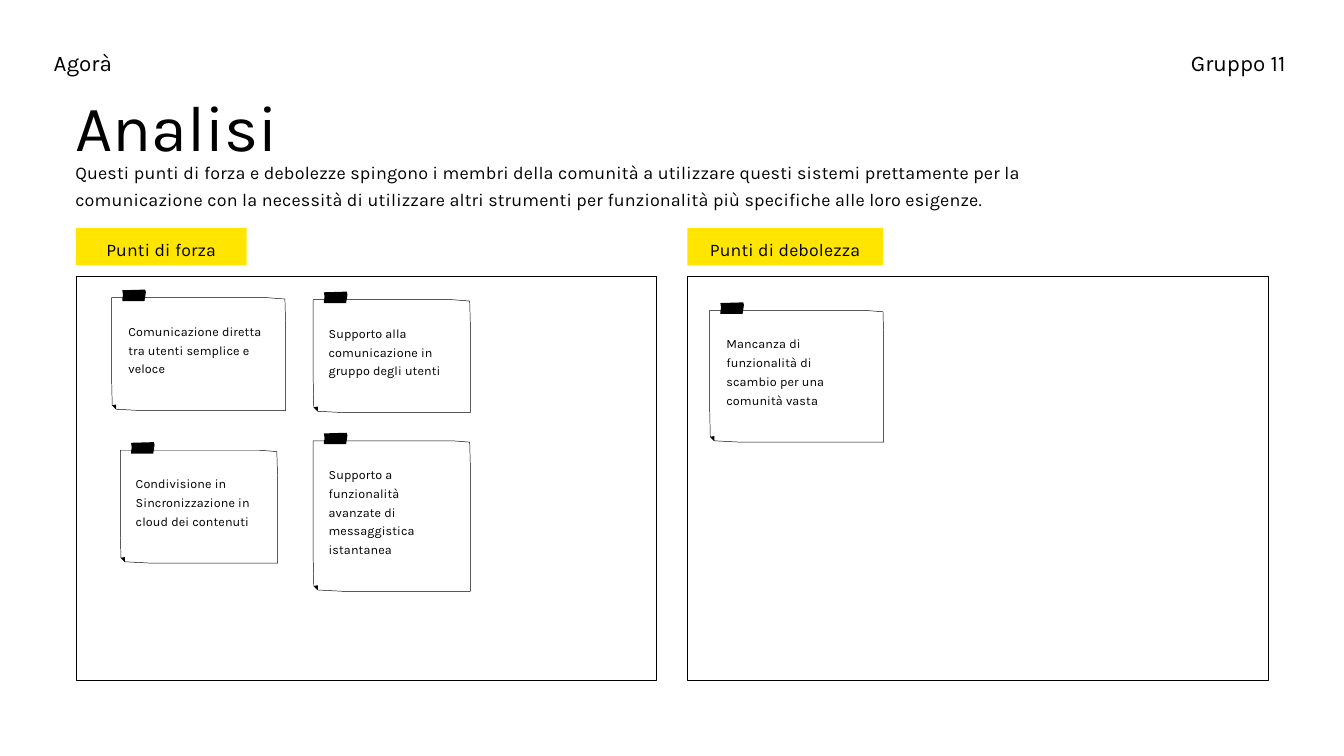
from pptx import Presentation
from pptx.dml.color import RGBColor
from pptx.enum import shapes, text
from pptx.util import Inches, Pt

# Theme: colours, and type as (size, line spacing, letter spacing in 1/100 pt)
THEME = {
    "font": "Karla",
    "ink": RGBColor(0, 0, 0),
    "paper": RGBColor(255, 255, 255),
    "tag": RGBColor(0xFF, 0xE5, 0x00),
    "title": (69.4, 76.3, 0),
    "head": (24, 28.8, 0),
    "body": (19.2, 28.9, 19),
    "label": (19, 28.5, 19),
    "note": (13.5, 20.2, 13),
}
LEFT, CENTER, RIGHT = text.PP_ALIGN.LEFT, text.PP_ALIGN.CENTER, text.PP_ALIGN.RIGHT

# Content
TITLE = "Analisi"
INTRO = ("Questi punti di forza e debolezze spingono i membri della comunità a utilizzare "
         "questi sistemi prettamente per la comunicazione con la necessità di utilizzare "
         "altri strumenti per funzionalità più specifiche alle loro esigenze.")
HEADS = [("Agorà", 0.8, LEFT), ("Gruppo 11", 14.83, RIGHT)]

# Note widths: paper, text inset, text
WIDE, SLIM = (2.59, 0.25, 2.02), (2.34, 0.23, 1.82)

# Panels: label, left, label width, notes as (text, left, top, width, lines)
PANELS = [
    ("Punti di forza", 1.13, 2.54, [
        ("Comunicazione diretta tra utenti semplice e veloce", 1.66, 4.43, WIDE, 3),
        ("Supporto alla comunicazione in gruppo degli utenti", 4.66, 4.46, SLIM, 3),
        ("Supporto a funzionalità avanzate di messaggistica istantanea",
         4.66, 6.56, SLIM, 5),
        ("Condivisione in Sincronizzazione in cloud dei contenuti", 1.79, 6.7, SLIM, 3),
    ]),
    ("Punti di debolezza", 10.23, 2.91, [
        ("Mancanza di funzionalità di scambio per una comunità vasta",
         10.56, 4.62, WIDE, 4),
    ]),
]

prs = Presentation()
prs.slide_width, prs.slide_height = Inches(20), Inches(11.25)
slide = prs.slides.add_slide(prs.slide_layouts[5])


def write(shape, words, style, align=LEFT, top=0):
    size, lead, space = THEME[style]
    frame = shape.text_frame
    frame.auto_size = text.MSO_AUTO_SIZE.NONE
    frame.word_wrap = True
    frame.vertical_anchor = text.MSO_ANCHOR.TOP
    frame.margin_left = frame.margin_right = frame.margin_bottom = 0
    frame.margin_top = Inches(top)
    para = frame.paragraphs[0]
    para.alignment = align
    para.line_spacing = Pt(lead)
    para.space_before = Pt(0)
    run = para.add_run()
    run.text = words
    run.font.name = THEME["font"]
    run.font.size = Pt(size)
    run.font.color.rgb = THEME["ink"]
    if space:
        run.font._element.set("spc", str(space))


def add_text(words, x, y, w, h, style, align=LEFT):
    box = slide.shapes.add_textbox(*map(Inches, (x, y, w, h)))
    write(box, words, style, align)


def paint(shape, fill=None, line=None):
    shape.shadow.inherit = False
    if fill is None:
        shape.fill.background()
    else:
        shape.fill.solid()
        shape.fill.fore_color.rgb = fill
    if line is None:
        shape.line.fill.background()
    else:
        shape.line.color.rgb = THEME["ink"]
        shape.line.width = Pt(line)


def add_rect(x, y, w, h, fill=None, line=None):
    rect = slide.shapes.add_shape(shapes.MSO_SHAPE.RECTANGLE,
                                  *map(Inches, (x, y, w, h)))
    paint(rect, fill, line)
    return rect


def add_free(x, y, dots, fill, line=None):
    first, *rest = [(Inches(x + dx), Inches(y + dy)) for dx, dy in dots]
    path = slide.shapes.build_freeform(*first, scale=1.0)
    path.add_line_segments(rest, close=True)
    paint(path.convert_to_shape(), fill, line)


def add_note(words, x, y, kind, lines):
    w, pad, wide = kind
    h = 0.84 + 0.28 * lines
    # Paper with a clipped lower corner
    add_free(x, y, [(0, 0), (0, h - 0.53), (0.01, h - 0.08), (0.07, h - 0.02),
                    (0.45, h), (w, h), (w, 0.39), (w - 0.01, 0.02),
                    (w - 0.27, 0), (0.53, 0)], THEME["paper"], 0.5)
    # Folded corner
    add_free(x, y, [(0.01, h - 0.08), (0.07, h - 0.09), (0.07, h - 0.02)], THEME["ink"])
    # Tape
    add_free(x + 0.16, y - 0.12, [(0.34, 0), (0.35, 0.04), (0.34, 0.11), (0.33, 0.17),
                                  (0, 0.17), (0, 0.14), (0.01, 0.08), (0, 0.01)],
             THEME["ink"])
    add_text(words, x + pad, y + 0.33, wide, 0.28 * lines - 0.04, "note")


# Title and running heads
title = slide.shapes.title
title.left, title.top, title.width, title.height = map(Inches, (1.12, 1.39, 10.74, 1.1))
write(title, TITLE, "title")
for words, x, align in HEADS:
    add_text(words, x, 0.73, 4.3, 0.4, "head", align)
add_text(INTRO, 1.12, 2.32, 14.65, 0.76, "body")

# Panels with labels and notes
for label, x, width, notes in PANELS:
    add_rect(x, 4.12, 8.64, 6, line=0.75)
    tag = add_rect(x, 3.39, width, 0.56, fill=THEME["tag"])
    write(tag, label, "label", CENTER, top=0.08)
    for note in notes:
        add_note(*note)

prs.save("out.pptx")
